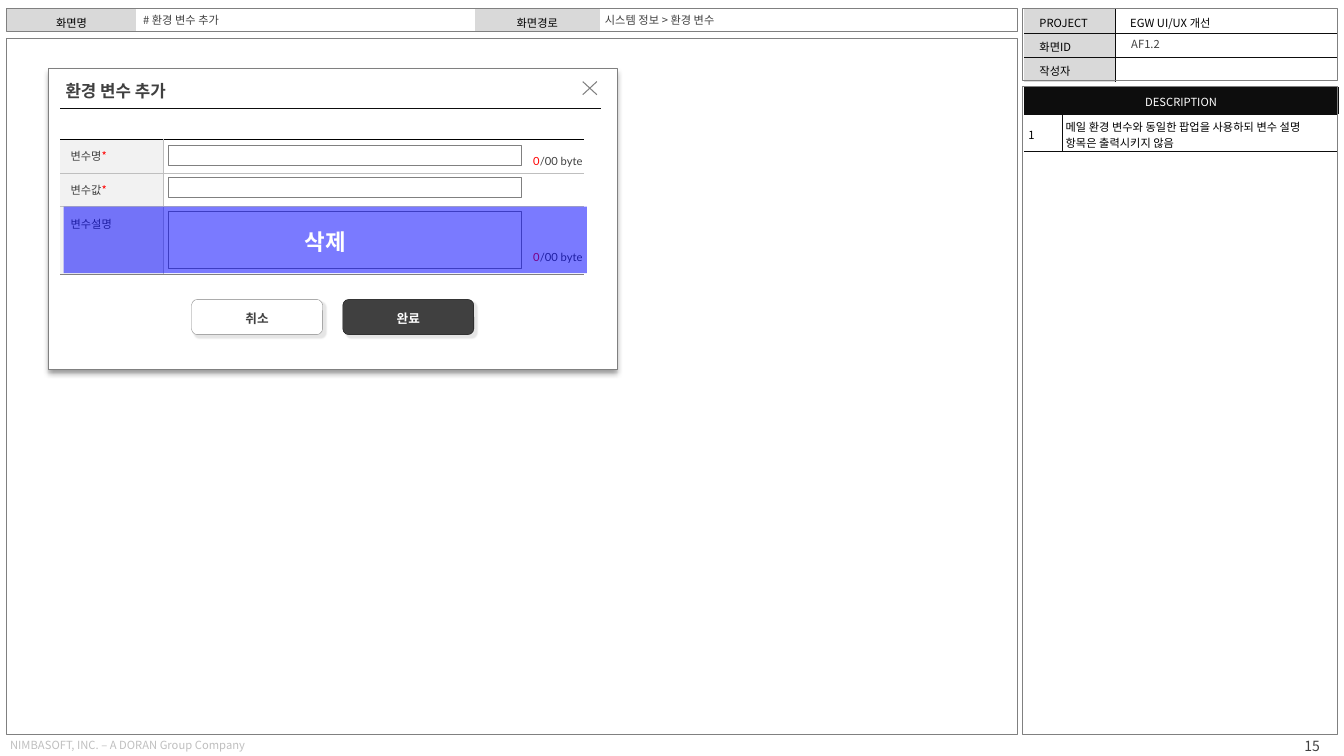
from lxml import etree
from pptx import Presentation, util as u
from pptx.dml.color import RGBColor
from pptx.enum import shapes, text
from pptx.oxml import parse_xml
from pptx.oxml.ns import qn, nsdecls

hue = RGBColor.from_string
NOTO = "Noto Sans CJK KR"
DARK, TEXT, GREY, PALE = "0D0D0D", "404040", "808080", "BFBFBF"
RECT, ROUND = shapes.MSO_SHAPE.RECTANGLE, shapes.MSO_SHAPE.ROUNDED_RECTANGLE
LEFT, MID, RIGHT = text.PP_ALIGN.LEFT, text.PP_ALIGN.CENTER, text.PP_ALIGN.RIGHT
TOP, HALF = text.MSO_ANCHOR.TOP, text.MSO_ANCHOR.MIDDLE


def write(frame, runs, size=8, align=LEFT, bold=False, face=NOTO):
    """Add (words, colour) runs to the first paragraph of a text frame."""
    para = frame.paragraphs[0]
    para.alignment = align
    for words, tint in runs:
        run = para.add_run()
        run.text = words
        run.font.size, run.font.bold, run.font.name = u.Pt(size), bold, face
        run.font.color.rgb = hue(tint)
        etree.SubElement(run.font._element, qn("a:ea"), typeface=NOTO)
    return para


def box(kind, area, fill=None, line=None, width=0.25, shade=None):
    """Draw a shape; shade is (colour, blur, distance, angle)."""
    shape = page.shapes.add_shape(kind, *map(u.Inches, area))
    shape.shadow.inherit = False
    if fill:
        shape.fill.solid()
        shape.fill.fore_color.rgb = hue(fill)
    else:
        shape.fill.background()
    if line:
        shape.line.color.rgb = hue(line)
        shape.line.width = u.Pt(width)
    else:
        shape.line.fill.background()
    if shade:
        tint, blur, dist, angle = shade
        shape._element.spPr.find(qn("a:effectLst")).append(parse_xml(
            f'<a:outerShdw {nsdecls("a")} blurRad="{u.Pt(blur)}" dist="{u.Pt(dist)}" '
            f'dir="{angle * 60000}" algn="tl" rotWithShape="0"><a:srgbClr val="{tint}">'
            '<a:alpha val="40000"/></a:srgbClr></a:outerShdw>'))
    frame = shape.text_frame
    frame.word_wrap = False
    frame.vertical_anchor = HALF
    frame.margin_left = frame.margin_right = u.Inches(0.04)
    frame.margin_top = frame.margin_bottom = u.Inches(0.04)
    return shape


deck = Presentation()
deck.slide_width, deck.slide_height = u.Inches(13.33), u.Inches(7.5)
page = deck.slides.add_slide(deck.slide_layouts[5])

# Canvas and popup
box(RECT, (0.06, 0.38, 10.03, 6.91), "FFFFFF", GREY, 0.5)
box(RECT, (0.48, 0.68, 5.64, 2.98), "FFFFFF", GREY, 0.5, ("000000", 4, 3, 90))

# Tables: place, columns, rows, insets (l, t, r, b), horizontal rules, inner rule, cells
LABEL, BLACK, FORM = "D9D9D9", "000000", "F2F2F2"
side = (0.15, 0.05, 0.15, 0.02)
star = ("*", "FF0000")
tables = [
    ((0.07, 0.09), (1.28, 3.36, 1.24, 4.16), (0.23,), side, (None, None), None,
     [[([("화면명", BLACK)], LABEL, MID), ([], None, LEFT),
       ([("화면경로", BLACK)], LABEL, MID), ([], None, LEFT)]]),
    ((10.16, 0.09), (0.9, 2.2), (0.24,) * 3, side, (None, DARK, DARK, None), DARK,
     [[([("PROJECT", BLACK)], LABEL, LEFT), ([("EGW UI/UX 개선", BLACK)], None, LEFT)],
      [([("화면ID", BLACK)], LABEL, LEFT), ([], None, LEFT)],
      [([("작성자", BLACK)], LABEL, LEFT), ([], None, LEFT)]]),
    ((0.6, 1.38), (1.02, 4.17), (1.34 / 4,) * 4, (0.1, 0.05, 0.1, 0.05),
     (BLACK, PALE, PALE, None, GREY), PALE,
     [[(label, FORM, LEFT), ([], None, LEFT)] for label in (
         [("변수명", TEXT), star], [("변수값", TEXT), star], [("변수설명", TEXT)], [])]),
    ((10.16, 0.86), (0.37, 2.74), (0.27, 0.37), (0.04, 0.04, 0.04, 0.01),
     (None, DARK, DARK), DARK,
     [[([("DESCRIPTION", "FFFFFF")], DARK, MID), None],
      [([("1", BLACK)], None, LEFT),
       ([("메일 환경 변수와 동일한 팝업을 사용하되 변수 설명 항목은 출력시키지 않음", BLACK)],
        None, LEFT)]]),
]
for place, cols, rows, inset, rules, inner, cells in tables:
    table = page.shapes.add_table(
        len(rows), len(cols), *map(u.Inches, (*place, sum(cols), sum(rows)))).table
    table.first_row = table.horz_banding = False
    style = table._tbl.tblPr.find(qn("a:tableStyleId"))
    style.text = "{2D5ABB26-0587-4C30-8999-92F81FD0307C}"
    for col, wide in zip(table.columns, cols):
        col.width = u.Inches(wide)
    for i, high in enumerate(rows):
        table.rows[i].height = u.Inches(high)
        for j, item in enumerate(cells[i]):
            cell = table.cell(i, j)
            if item is None:
                table.cell(i, j - 1).merge(cell)
                continue
            runs, fill, align = item
            cell.vertical_anchor = HALF
            (cell.margin_left, cell.margin_top,
             cell.margin_right, cell.margin_bottom) = map(u.Inches, inset)
            if fill:
                cell.fill.solid()
                cell.fill.fore_color.rgb = hue(fill)
            else:
                cell.fill.background()
            para = write(cell.text_frame, runs, align=align)
            if not runs:
                etree.SubElement(para._p, qn("a:endParaRPr"), sz="800")
            edges = (("lnL", inner if j else None),
                     ("lnR", inner if j < len(cols) - 1 else None),
                     ("lnT", rules[i]), ("lnB", rules[i + 1]))
            for k, (tag, tint) in enumerate(edges):
                paint = (f'<a:solidFill><a:srgbClr val="{tint}"/></a:solidFill>'
                         if tint else '<a:noFill/>')
                cell._tc.get_or_add_tcPr().insert(k, parse_xml(
                    f'<a:{tag} {nsdecls("a")} w="{u.Pt(0.25)}">{paint}</a:{tag}>'))

# Outline frames
for area in ((0.06, 0.08, 10.03, 0.23), (10.14, 0.08, 3.12, 0.72), (10.14, 0.86, 3.12, 6.43)):
    box(RECT, area, line=GREY, width=0.5)

# Popup heading, close mark and rule
title = page.shapes.title
page.shapes._spTree.append(title._element)
title.left, title.top, title.width, title.height = map(u.Inches, (0.61, 0.8, 2, 0.21))

x1, y1, x2, y2 = map(u.Inches, (5.78, 0.81, 5.92, 0.94))
pen = page.shapes.build_freeform(x2, y1)
pen.add_line_segments([(x1, y2)], close=False)
pen.move_to(x1, y1)
pen.add_line_segments([(x2, y2)], close=False)
cross = pen.convert_to_shape()
cross.shadow.inherit = False
cross.fill.background()
cross.line.color.rgb, cross.line.width = hue(GREY), u.Pt(0.75)

rule = page.shapes.add_connector(
    shapes.MSO_CONNECTOR.STRAIGHT, *map(u.Inches, (0.6, 1.07, 5.96, 1.07)))
rule.line.color.rgb, rule.line.width = hue(DARK), u.Pt(0.25)
etree.SubElement(rule._element.spPr, qn("a:effectLst"))

# Input fields and byte counters
for top, high in ((1.44, 0.2), (1.76, 0.2), (2.1, 0.56)):
    box(ROUND, (1.67, top, 3.5, high), "FFFFFF", GREY).adjustments[0] = 0

notes = []
for top in (1.49, 2.44):
    count = box(ROUND, (5.21, top, 0.61, 0.2))
    count.adjustments[0] = 0
    notes.append(write(count.text_frame, [("0", "FF0000"), ("/00 byte", TEXT)],
                       align=RIGHT, face="Lato"))

# Buttons
for left, words, fill, line, ink, face in (
        (3.4, "완료", TEXT, DARK, "FFFFFF", NOTO), (1.9, "취소", "FFFFFF", GREY, TEXT, "Lato")):
    key = box(ROUND, (left, 2.97, 1.3, 0.35), fill, line, shade=(PALE, 1, 3, 45))
    notes.append(write(key.text_frame, [(words, ink)], 9, MID, True, face))

# Deletion overlay
veil = box(RECT, (0.63, 2.05, 5.19, 0.66), "0000FF")
tint = veil._element.spPr.find(qn("a:solidFill"))[0]
etree.SubElement(tint, qn("a:alpha"), val="52000")
notes.append(write(veil.text_frame, [("삭제", "FFFFFF")], 16, MID, True))
for para in notes:
    para.line_spacing, para.space_after = 1.15, u.Pt(10)

# Heading and plain labels
labels = [(title, "환경 변수 추가", 12, TEXT, LEFT, HALF, 0.04)]
for area, *rest in (
        ((5.96, 0.08, 1, 0.24), "시스템 정보 > 환경 변수", 8, TEXT, LEFT, HALF, 0.04),
        ((1.38, 0.08, 1, 0.24), "# 환경 변수 추가", 8, TEXT, LEFT, HALF, 0.04),
        ((11.14, 0.32, 1, 0.21), "AF1.2", 8, TEXT, LEFT, TOP, 0.08),
        ((0.06, 7.28, 3.59, 0.21), "NIMBASOFT, INC. – A DORAN Group Company",
         8, PALE, LEFT, TOP, 0.04),
        ((12.42, 7.29, 0.71, 0.21), "15", 10, TEXT, RIGHT, HALF, 0.04)):
    labels.append((page.shapes.add_textbox(*map(u.Inches, area)), *rest))
for shape, words, size, ink, align, anchor, pad in labels:
    frame = shape.text_frame
    frame.word_wrap, frame.auto_size = False, text.MSO_AUTO_SIZE.NONE
    frame.vertical_anchor = anchor
    frame.margin_left = frame.margin_right = u.Inches(pad)
    frame.margin_top = frame.margin_bottom = u.Inches(0.05)
    write(frame, [(words, ink)], size, align, shape is title)

deck.save("out.pptx")
